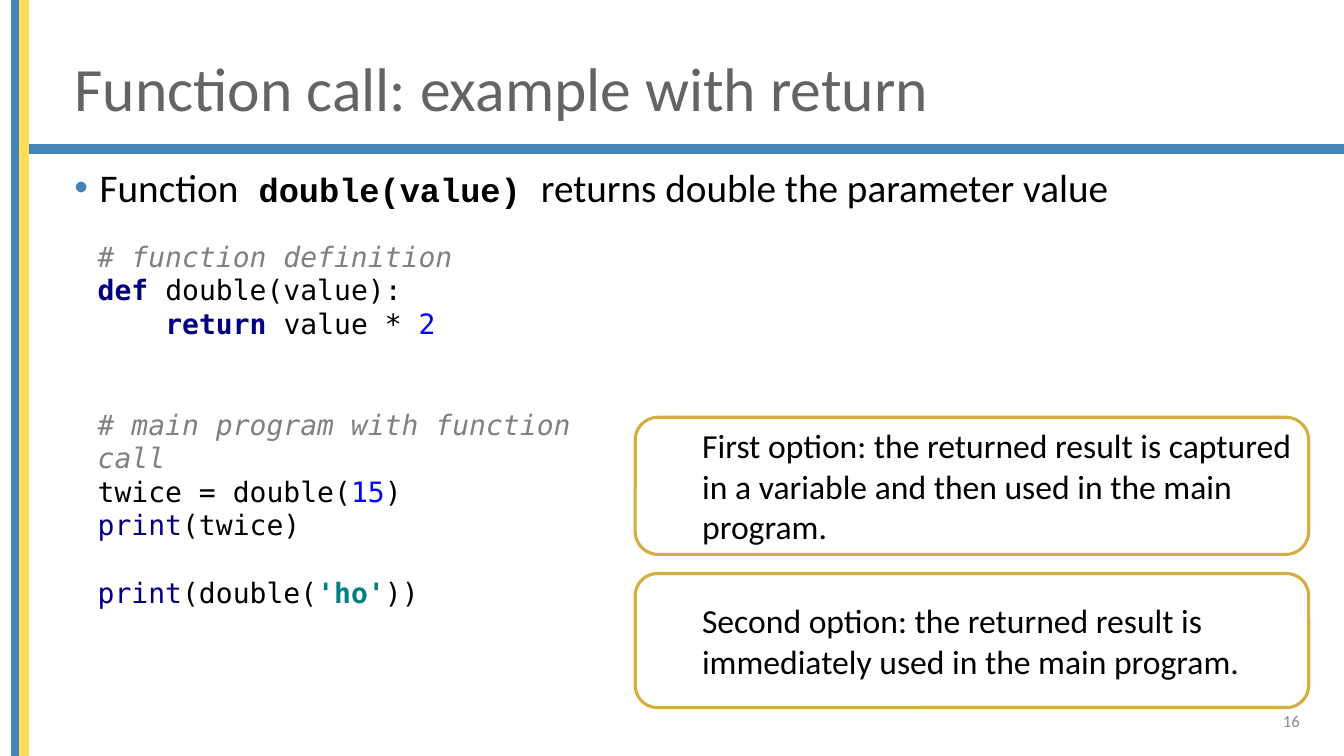
from pptx import Presentation
from pptx import util as u
from pptx.dml.color import RGBColor
from pptx.enum import shapes, text
from pptx.oxml.ns import qn
from lxml import etree

BLUE, YELLOW, GOLD = "4584B6", "FFDE57", "D5AD42"
BLACK, NAVY, NUMBER, COMMENT, STRING = "000000", "000080", "0000FF", "808080", "008080"
BODY, MONO = "Calibri", "DejaVu Sans Mono"

# Each code line is a list of (words, colour, style) spans
CODE = [
    [("# function definition", COMMENT, "i")],
    [("def ", NAVY, "b"), ("double(value):", BLACK, "")],
    [("    ", BLACK, ""), ("return ", NAVY, "b"), ("value * ", BLACK, ""), ("2", NUMBER, "")],
    [],
    [],
    [("# main program with function call", COMMENT, "i")],
    [("twice = double(", BLACK, ""), ("15", NUMBER, ""), (")", BLACK, "")],
    [("print", NAVY, ""), ("(twice)", BLACK, "")],
    [],
    [("print", NAVY, ""), ("(double(", BLACK, ""), ("'ho'", STRING, "b"), ("))", BLACK, "")],
]
OPTIONS = [
    ((6.3, 4.14, 6.68, 1.36),
     "First option: the returned result is captured in a variable and then used in the main program."),
    ((6.3, 5.69, 6.68, 1.33),
     "Second option: the returned result is immediately used in the main program."),
]


def colour(value):
    return RGBColor.from_string(value)


def add_span(para, words, size, shade=BLACK, font=BODY, style=""):
    span = para.add_run()
    span.text = words
    span.font.size = u.Pt(size)
    span.font.name = font
    span.font.color.rgb = colour(shade)
    span.font.bold = "b" in style
    span.font.italic = "i" in style


def add_panel(page, kind, box, fill, line, weight):
    panel = page.shapes.add_shape(kind, *map(u.Inches, box))
    panel.shadow.inherit = False
    panel.fill.solid()
    panel.fill.fore_color.rgb = colour(fill)
    panel.line.color.rgb = colour(line)
    panel.line.width = u.Pt(weight)
    return panel


def first_para(shape, anchor=text.MSO_ANCHOR.MIDDLE, align=text.PP_ALIGN.LEFT):
    frame = shape.text_frame
    frame.word_wrap = True
    frame.vertical_anchor = anchor
    para = frame.paragraphs[0]
    para.alignment = align
    return para


def add_text(page, box, **layout):
    return first_para(page.shapes.add_textbox(*map(u.Inches, box)), **layout)


def draw_bars(page, box):
    left, top, width, height = box
    thick = 0.08
    bars = [
        ((left + thick, 1.44, width - left - thick, thick), BLUE),
        ((left, top, thick, height), BLUE),
        ((left + thick, top, thick, height), YELLOW),
    ]
    for place, shade in bars:
        add_panel(page, shapes.MSO_SHAPE.RECTANGLE, place, shade, shade, 1)


def draw_title(page, box):
    para = add_text(page, box)
    para.line_spacing = 0.9
    add_span(para, "Function call: example with return", 44, "646464")


def draw_bullet(page, box):
    para = add_text(page, box, anchor=text.MSO_ANCHOR.TOP)
    para.line_spacing = 0.9
    para.space_before = u.Pt(10)
    # Hanging indent with a blue bullet
    props = para._p.get_or_add_pPr()
    props.set("marL", str(u.Inches(0.25)))
    props.set("indent", str(u.Inches(-0.25)))
    shade = etree.SubElement(props, qn("a:buClr"))
    etree.SubElement(shade, qn("a:srgbClr")).set("val", BLUE)
    etree.SubElement(props, qn("a:buFont")).set("typeface", "Arial")
    etree.SubElement(props, qn("a:buChar")).set("char", "\u2022")
    add_span(para, "Function", 28)
    add_span(para, " double(value) ", 24, font="Courier New", style="b")
    add_span(para, "returns double the parameter value", 28)


def draw_code(page, box):
    para = add_text(page, box)
    for index, line in enumerate(CODE):
        if index:
            para.add_line_break()
        for words, shade, style in line:
            add_span(para, words, 20, shade, MONO, style)
    # Blank lines keep the height of the code font
    for line_break in para._p.findall(qn("a:br")):
        props = etree.SubElement(line_break, qn("a:rPr"))
        props.set("sz", "2000")
        etree.SubElement(props, qn("a:latin")).set("typeface", MONO)


def draw_option(page, box, words):
    panel = add_panel(page, shapes.MSO_SHAPE.ROUNDED_RECTANGLE, box, "FFFFFF", GOLD, 2.25)
    para = first_para(panel)
    para.level = 1
    para._p.get_or_add_pPr().set("marL", str(u.Inches(0.5)))
    add_span(para, words, 24)


def draw_page_number(page, box):
    para = add_text(page, box, align=text.PP_ALIGN.RIGHT)
    add_span(para, "16", 12, "8C8C8C")


deck = Presentation()
deck.slide_width, deck.slide_height = u.Inches(13.33), u.Inches(7.5)
page = deck.slides.add_slide(deck.slide_layouts[6])

draw_bars(page, (0.12, 0, 13.33, 7.5))
draw_title(page, (0.64, 0.4, 11.78, 1.01))
draw_bullet(page, (0.64, 1.62, 12.55, 5.16))
draw_page_number(page, (9.99, 6.95, 3, 0.4))
for place, words in OPTIONS:
    draw_option(page, place, words)
draw_code(page, (0.87, 2.47, 5.29, 3.47))

deck.save("out.pptx")
